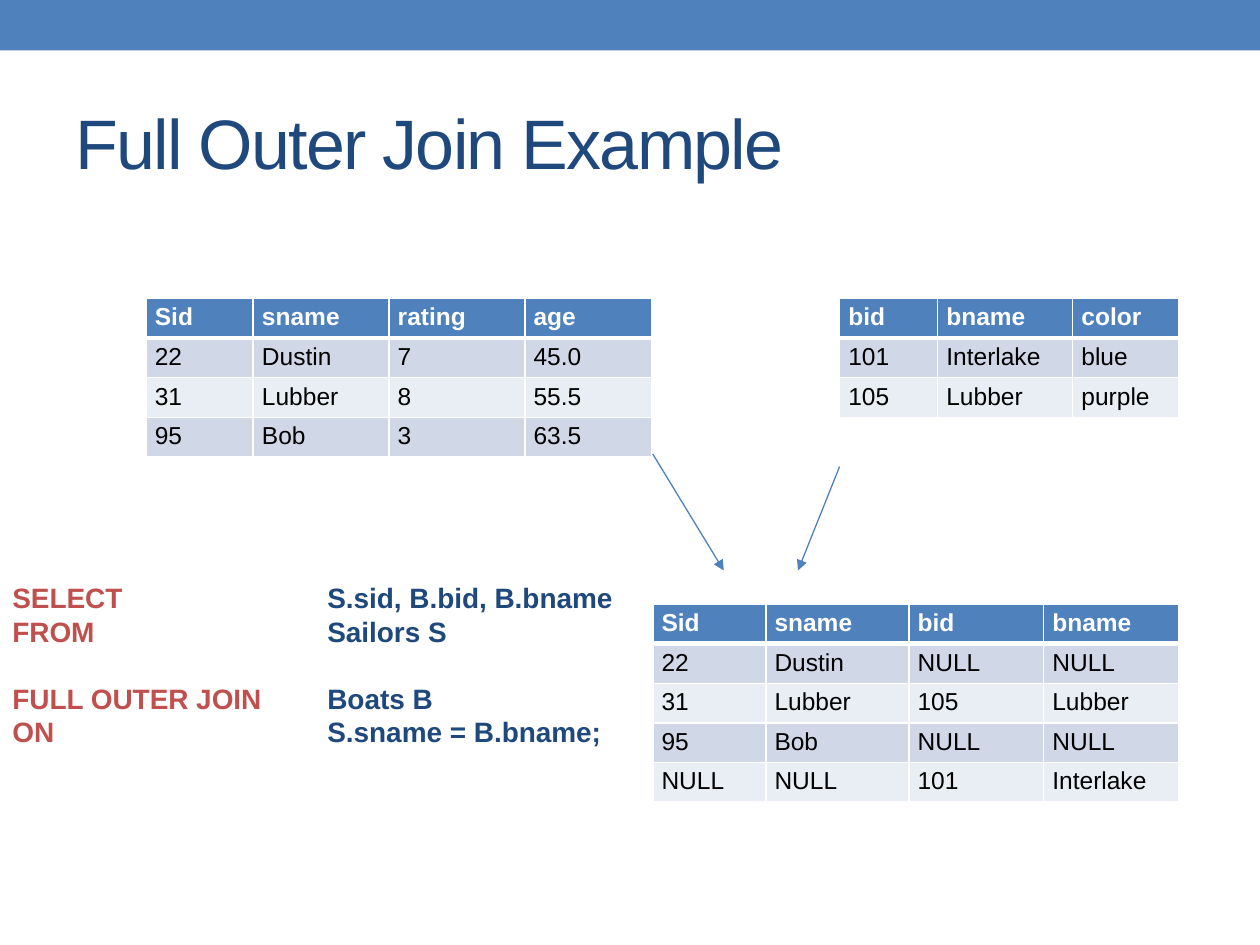
from dataclasses import dataclass

from pptx import Presentation
from pptx import util as u
from pptx.dml import color
from pptx.enum import shapes, text
from pptx.oxml import ns, xmlchemy as xml

Pt = u.Pt


@dataclass(frozen=True)
class Theme:
    font: str = "Arial"
    blue: str = "4F81BD"
    navy: str = "1F497D"
    red: str = "C0504D"
    white: str = "FFFFFF"
    black: str = "000000"
    bands: tuple = ("D0D8E8", "E9EDF4")
    title: int = 40
    code: int = 16
    cell: int = 14


THEME = Theme()
ROW = 21.9  # table row height
MARGINS = {"margin_left": Pt(5), "margin_right": Pt(5),
           "margin_top": Pt(2.9), "margin_bottom": Pt(2.9)}


def rgb(code):
    return color.RGBColor.from_string(code)


def apply(item, values):
    for name, value in values.items():
        setattr(item, name, value)


def node(parent, tag, **values):
    """Add a child element with the given attributes."""
    child = xml.OxmlElement(tag)
    for name, value in values.items():
        child.set(name, str(value))
    parent.append(child)
    return child


def add_run(para, words, size, ink, bold=False):
    run = para.add_run()
    run.text = words
    apply(run.font, {"name": THEME.font, "size": Pt(size), "bold": bold})
    run.font.color.rgb = rgb(ink)
    return run


def add_box(slide, place, anchor):
    frame = slide.shapes.add_textbox(*map(Pt, place)).text_frame
    apply(frame, {"word_wrap": True, "vertical_anchor": anchor})
    return frame


def add_bar(slide, place):
    bar = slide.shapes.add_shape(shapes.MSO_SHAPE.RECTANGLE, *map(Pt, place))
    bar.shadow.inherit = False
    bar.fill.solid()
    bar.fill.fore_color.rgb = rgb(THEME.blue)
    bar.line.fill.background()


def add_title(slide, words, place):
    frame = add_box(slide, place, text.MSO_ANCHOR.MIDDLE)
    run = add_run(frame.paragraphs[0], words, THEME.title, THEME.navy)
    run.font._element.set("spc", "-100")


def add_edge(cell, side, width):
    line = node(cell._tc.get_or_add_tcPr(), f"a:ln{side}", w=Pt(width))
    node(node(line, "a:solidFill"), "a:srgbClr", val=THEME.white)


def add_grid(slide, left, top, widths, rows):
    """Add a table with a header row and banded body rows."""
    table = slide.shapes.add_table(
        len(rows), len(widths), Pt(left), Pt(top),
        Pt(sum(widths)), Pt(ROW * len(rows))).table
    for col, width in zip(table.columns, widths):
        col.width = Pt(width)
    for i, row in enumerate(rows):
        head = i == 0
        table.rows[i].height = Pt(ROW)
        for j, words in enumerate(row):
            cell = table.cell(i, j)
            apply(cell, MARGINS)
            # The rule under the header is thicker
            edges = {"L": 1, "R": 1, "T": 3 if i == 1 else 1,
                     "B": 3 if head else 1}
            for side, width in edges.items():
                add_edge(cell, side, width)
            cell.fill.solid()
            cell.fill.fore_color.rgb = rgb(
                THEME.blue if head else THEME.bands[(i - 1) % 2])
            add_run(cell.text_frame.paragraphs[0], words, THEME.cell,
                    THEME.white if head else THEME.black, head)


def add_arrow(slide, start, end):
    arrow = slide.shapes.add_connector(
        shapes.MSO_CONNECTOR.STRAIGHT, *map(Pt, start + end))
    arrow.line.width = Pt(0.75)
    arrow.line.color.rgb = rgb(THEME.blue)
    node(arrow.line._get_or_add_ln(), "a:tailEnd", type="triangle")
    node(arrow._element.find(ns.qn("p:spPr")), "a:effectLst")


def add_query(slide, place, lines, tab, pitch):
    """Add keyword and value pairs; a true gap leaves a line free above."""
    frame = add_box(slide, place, text.MSO_ANCHOR.TOP)
    for i, (key, value, gap) in enumerate(lines):
        para = frame.add_paragraph() if i else frame.paragraphs[0]
        apply(para, {"line_spacing": Pt(pitch),
                     "space_before": Pt(pitch if gap else 0)})
        stops = node(para._p.get_or_add_pPr(), "a:tabLst")
        node(stops, "a:tab", pos=Pt(tab), algn="l")
        add_run(para, key + "\t", THEME.code, THEME.red, True)
        add_run(para, value, THEME.code, THEME.navy, True)


def main():
    deck = Presentation()
    apply(deck, {"slide_width": Pt(720), "slide_height": Pt(540)})
    slide = deck.slides.add_slide(deck.slide_layouts[6])

    # Top band and title
    add_bar(slide, (0, 0, 720, 28.8))
    add_title(slide, "Full Outer Join Example", (36, 42, 648, 78))

    # Source tables
    add_grid(slide, 83.5, 170.6, (61.2, 77.6, 77.6, 72.8), [
        ("Sid", "sname", "rating", "age"),
        ("22", "Dustin", "7", "45.0"),
        ("31", "Lubber", "8", "55.5"),
        ("95", "Bob", "3", "63.5")])
    add_grid(slide, 479.8, 170.6, (56, 77.2, 60.4), [
        ("bid", "bname", "color"),
        ("101", "Interlake", "blue"),
        ("105", "Lubber", "purple")])

    # Joined table
    add_grid(slide, 373, 345.2, (64.6, 81.8, 77, 77), [
        ("Sid", "sname", "bid", "bname"),
        ("22", "Dustin", "NULL", "NULL"),
        ("31", "Lubber", "105", "Lubber"),
        ("95", "Bob", "NULL", "NULL"),
        ("NULL", "NULL", "101", "Interlake")])

    # Arrows into the joined table
    add_arrow(slide, (373, 259.4), (413.6, 326))
    add_arrow(slide, (479.8, 266.6), (456, 326))

    # Query
    add_query(slide, (0, 328.4, 648, 126), [
        ("SELECT", "S.sid, B.bid, B.bname", False),
        ("FROM", "Sailors S", False),
        ("FULL OUTER JOIN", "Boats B", True),
        ("ON", "S.sname = B.bname;", False)], tab=180, pitch=19.1)

    deck.save("out.pptx")


if __name__ == "__main__":
    main()
